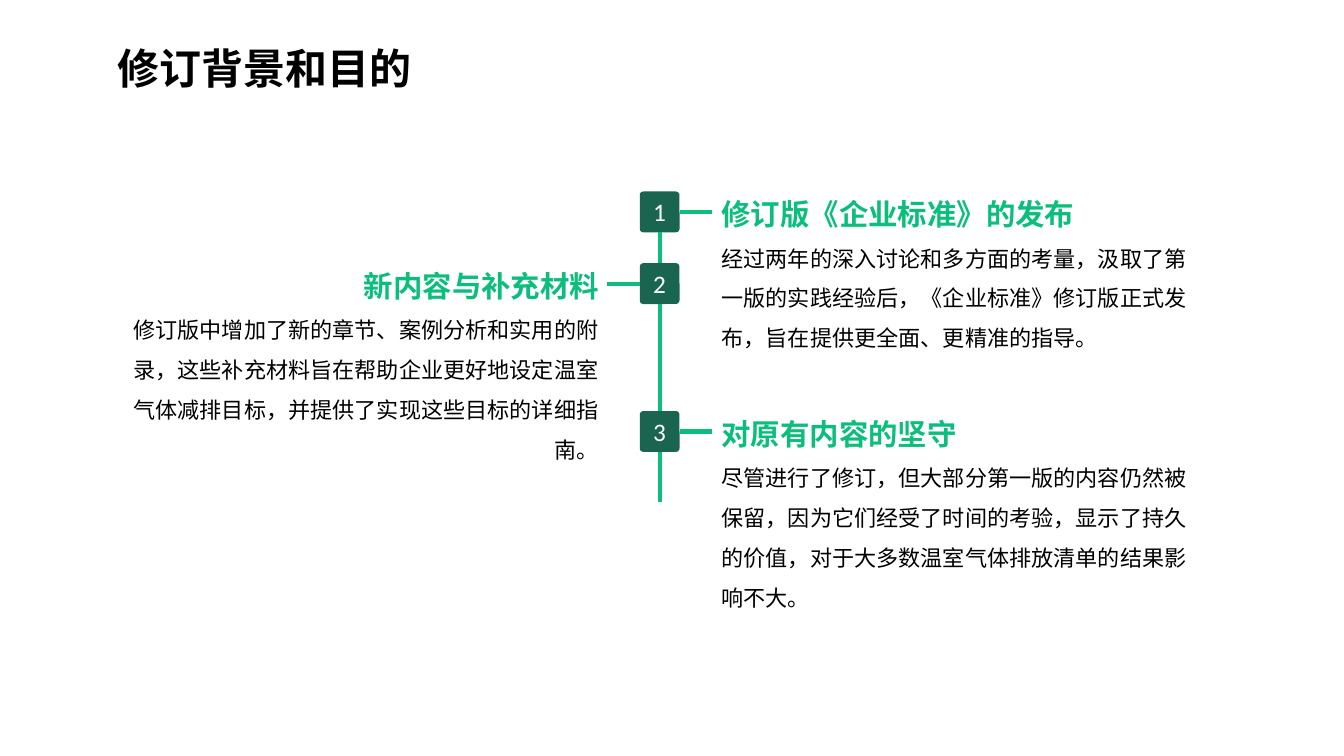
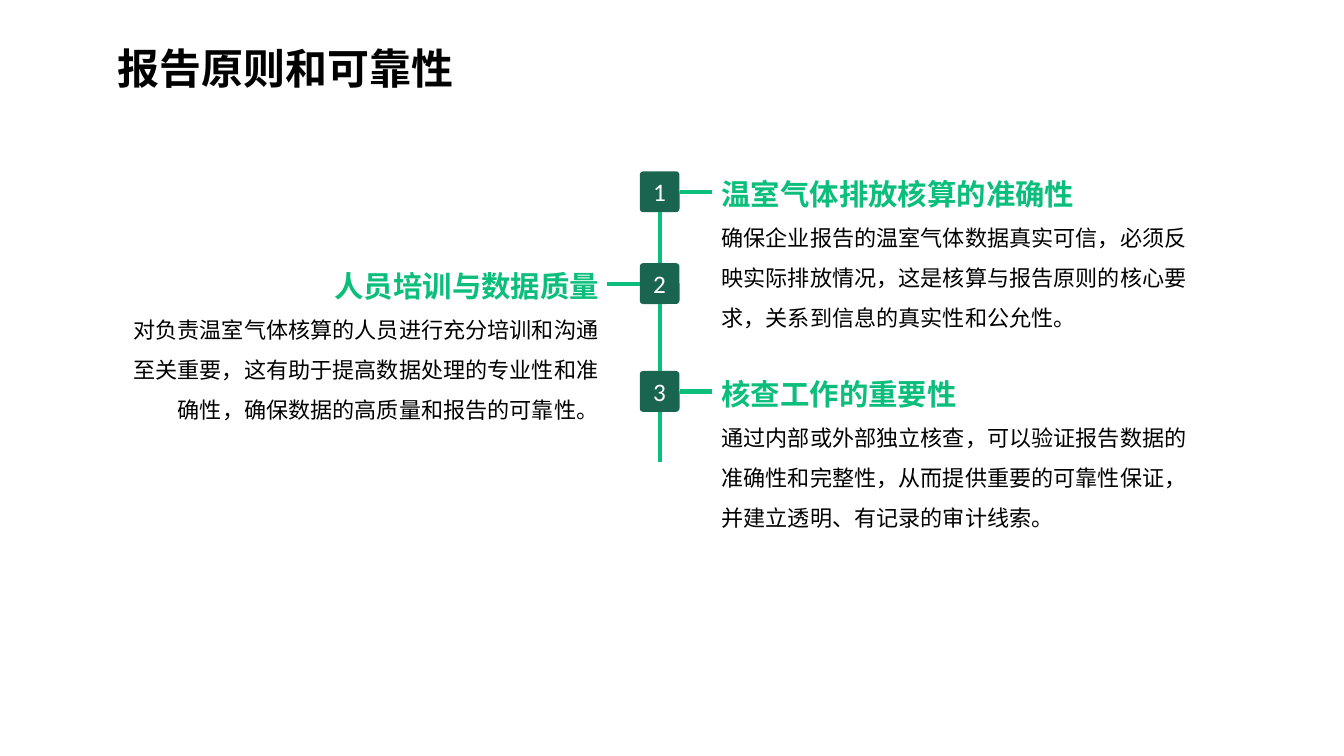
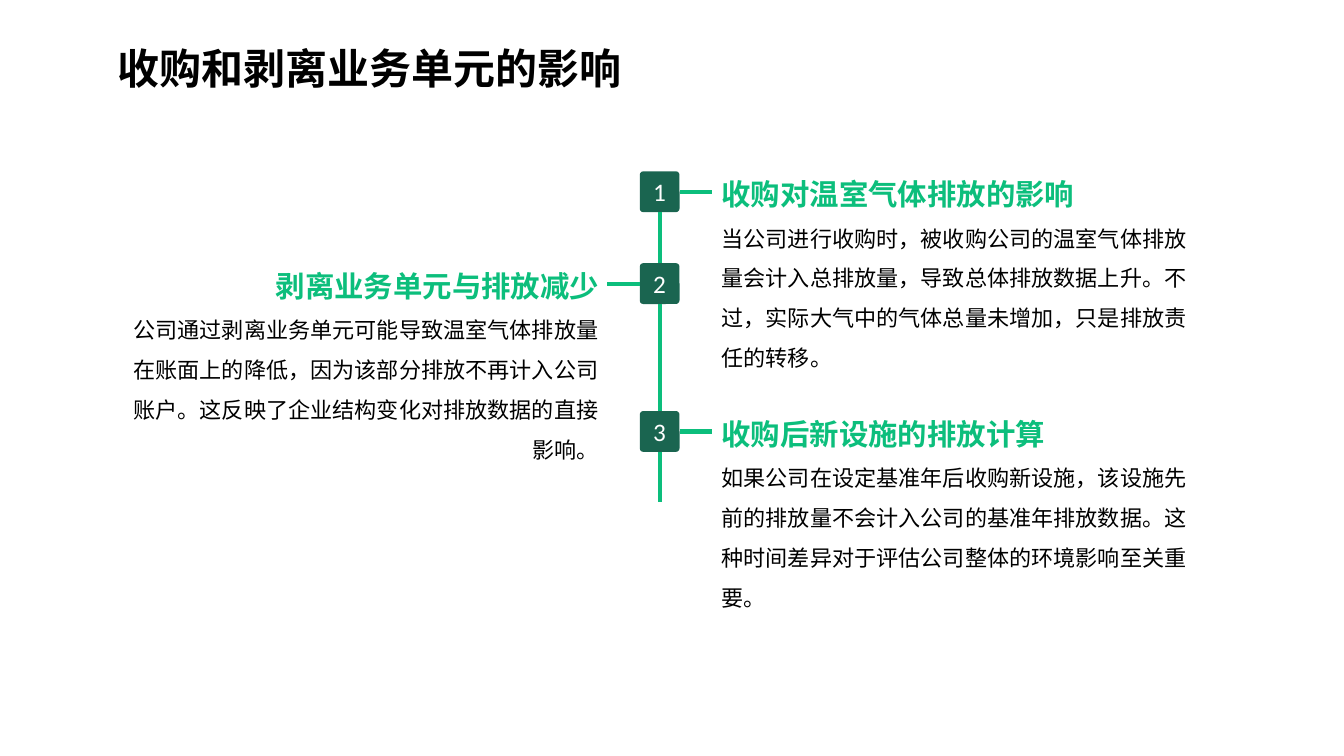
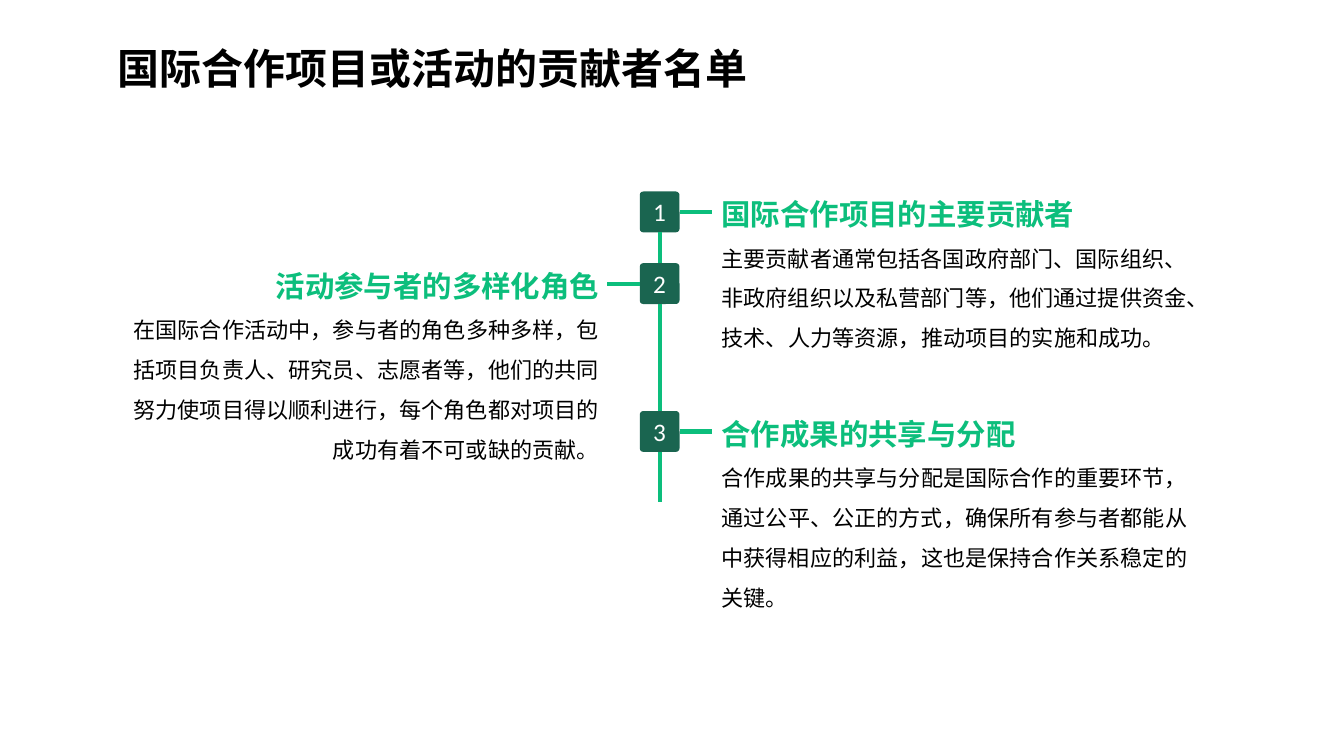
import math

import pptx
import pptx.util
import pptx.dml.color
import pptx.enum.shapes
import pptx.enum.text
from lxml import etree

Pt = pptx.util.Pt
Align = pptx.enum.text.PP_ALIGN
Shape = pptx.enum.shapes.MSO_SHAPE
DRAWING = "{http://schemas.openxmlformats.org/drawingml/2006/main}"

TEXT_FONT, NUMBER_FONT = "Noto Sans CJK SC", "Calibri"
BLACK, WHITE, GREEN, DARK_GREEN = "000000", "FFFFFF", "0CBE7C", "1A6550"

LEFT_TEXT, RIGHT_TEXT, TEXT_WIDTH = 77, 508.3, 358
HEADING_HEIGHT, LINE_HEIGHT, CHARS_PER_LINE = 31.9, 28.55, 21
BADGE_LEFT, BADGE_WIDTH, BADGE_HEIGHT = 457, 28.4, 29.2
LINE_WIDTH, ARM_LENGTH, TAIL_LENGTH = 3, 23.4, 36
TOP, LEFT, BOTTOM, RIGHT = range(4)

# Title, tops of the three badges, (heading, body) of the three entries
SLIDES = [
    ("修订背景和目的", (136.8, 188, 293.6), [
        ("修订版《企业标准》的发布",
         "经过两年的深入讨论和多方面的考量，汲取了第一版的实践经验后，《企业标准》修订版正式发布，旨在提供更全面、更精准的指导。"),
        ("新内容与补充材料",
         "修订版中增加了新的章节、案例分析和实用的附录，这些补充材料旨在帮助企业更好地设定温室气体减排目标，并提供了实现这些目标的详细指南。"),
        ("对原有内容的坚守",
         "尽管进行了修订，但大部分第一版的内容仍然被保留，因为它们经受了时间的考验，显示了持久的价值，对于大多数温室气体排放清单的结果影响不大。"),
    ]),
    ("报告原则和可靠性", (122.4, 188, 265), [
        ("温室气体排放核算的准确性",
         "确保企业报告的温室气体数据真实可信，必须反映实际排放情况，这是核算与报告原则的核心要求，关系到信息的真实性和公允性。"),
        ("人员培训与数据质量",
         "对负责温室气体核算的人员进行充分培训和沟通至关重要，这有助于提高数据处理的专业性和准确性，确保数据的高质量和报告的可靠性。"),
        ("核查工作的重要性",
         "通过内部或外部独立核查，可以验证报告数据的准确性和完整性，从而提供重要的可靠性保证，并建立透明、有记录的审计线索。"),
    ]),
    ("收购和剥离业务单元的影响", (122.4, 188, 293.6), [
        ("收购对温室气体排放的影响",
         "当公司进行收购时，被收购公司的温室气体排放量会计入总排放量，导致总体排放数据上升。不过，实际大气中的气体总量未增加，只是排放责任的转移。"),
        ("剥离业务单元与排放减少",
         "公司通过剥离业务单元可能导致温室气体排放量在账面上的降低，因为该部分排放不再计入公司账户。这反映了企业结构变化对排放数据的直接影响。"),
        ("收购后新设施的排放计算",
         "如果公司在设定基准年后收购新设施，该设施先前的排放量不会计入公司的基准年排放数据。这种时间差异对于评估公司整体的环境影响至关重要。"),
    ]),
    ("国际合作项目或活动的贡献者名单", (136.8, 188, 293.6), [
        ("国际合作项目的主要贡献者",
         "主要贡献者通常包括各国政府部门、国际组织、非政府组织以及私营部门等，他们通过提供资金、技术、人力等资源，推动项目的实施和成功。"),
        ("活动参与者的多样化角色",
         "在国际合作活动中，参与者的角色多种多样，包括项目负责人、研究员、志愿者等，他们的共同努力使项目得以顺利进行，每个角色都对项目的成功有着不可或缺的贡献。"),
        ("合作成果的共享与分配",
         "合作成果的共享与分配是国际合作的重要环节，通过公平、公正的方式，确保所有参与者都能从中获得相应的利益，这也是保持合作关系稳定的关键。"),
    ]),
]


def color(value):
    return pptx.dml.color.RGBColor.from_string(value)


def format_paragraph(para, size, ink, font=TEXT_FONT, bold=False, align=Align.LEFT, spacing=1.0):
    para.alignment = align
    para.line_spacing = spacing
    for span in para.runs:
        span.font.size = Pt(size)
        span.font.bold = bold
        span.font.color.rgb = color(ink)
        span.font.name = font
        latin = span.font._element.find(DRAWING + "latin")
        latin.addnext(latin.makeelement(DRAWING + "ea", {"typeface": font}))


def add_text_box(page, left, top, width, height, text):
    box = page.shapes.add_textbox(Pt(left), Pt(top), Pt(width), Pt(height))
    frame = box.text_frame
    frame.text = text
    frame.word_wrap = True
    frame.auto_size = pptx.enum.text.MSO_AUTO_SIZE.SHAPE_TO_FIT_TEXT
    frame.vertical_anchor = pptx.enum.text.MSO_ANCHOR.MIDDLE
    return frame.paragraphs


def add_title(page, title):
    para, = add_text_box(page, LEFT_TEXT, 8.6, 738, 61.2, title)
    format_paragraph(para, 30, BLACK, bold=True, spacing=1.5)


def add_entry_text(page, left, top, heading, body, align):
    height = HEADING_HEIGHT + LINE_HEIGHT * math.ceil(len(body) / CHARS_PER_LINE)
    first, second = add_text_box(page, left, top, TEXT_WIDTH, height, f"{heading}\n{body}")
    format_paragraph(first, 21, GREEN, bold=True, align=align)
    format_paragraph(second, 15.8, BLACK, align=align, spacing=1.5)


def add_badge(page, top, number):
    badge = page.shapes.add_shape(Shape.ROUNDED_RECTANGLE, Pt(BADGE_LEFT), Pt(top),
                                  Pt(BADGE_WIDTH), Pt(BADGE_HEIGHT))
    badge.adjustments[0] = 0.09
    badge.shadow.inherit = False
    badge.fill.solid()
    badge.fill.fore_color.rgb = color(DARK_GREEN)
    badge.line.fill.background()
    frame = badge.text_frame
    frame.margin_left = frame.margin_right = frame.margin_top = frame.margin_bottom = 0
    frame.vertical_anchor = pptx.enum.text.MSO_ANCHOR.MIDDLE
    frame.text = str(number)
    format_paragraph(frame.paragraphs[0], 18, WHITE, NUMBER_FONT, align=Align.CENTER)
    return badge


def add_line(page, start, start_side, x, y, end=None):
    """Run a line from a side of a badge to a point, or to the top of the badge end."""
    line = page.shapes.add_connector(pptx.enum.shapes.MSO_CONNECTOR.STRAIGHT, 0, 0, Pt(x), Pt(y))
    line.begin_connect(start, start_side)
    if end is not None:
        line.end_connect(end, TOP)
    line.line.width = Pt(LINE_WIDTH)
    line.line.color.rgb = color(GREEN)
    etree.SubElement(line._element.spPr, DRAWING + "effectLst")


def add_timeline(page, tops, entries):
    badges = []
    for index, (top, (heading, body)) in enumerate(zip(tops, entries)):
        on_left = index % 2 == 1
        add_entry_text(page, LEFT_TEXT if on_left else RIGHT_TEXT, top, heading, body,
                       Align.RIGHT if on_left else Align.LEFT)
        badge = add_badge(page, top, index + 1)
        badges.append(badge)
        arm_end = BADGE_LEFT - ARM_LENGTH if on_left else BADGE_LEFT + BADGE_WIDTH + ARM_LENGTH
        add_line(page, badge, LEFT if on_left else RIGHT, arm_end, top + BADGE_HEIGHT / 2)
    center = BADGE_LEFT + BADGE_WIDTH / 2
    for upper, lower, top in zip(badges, badges[1:], tops[1:]):
        add_line(page, upper, BOTTOM, center, top, lower)
    add_line(page, badges[-1], BOTTOM, center, tops[-1] + BADGE_HEIGHT + TAIL_LENGTH)


def main():
    deck = pptx.Presentation()
    deck.slide_width, deck.slide_height = Pt(960), Pt(540)
    for title, tops, entries in SLIDES:
        page = deck.slides.add_slide(deck.slide_layouts[6])
        add_title(page, title)
        add_timeline(page, tops, entries)
    deck.save("out.pptx")


if __name__ == "__main__":
    main()
